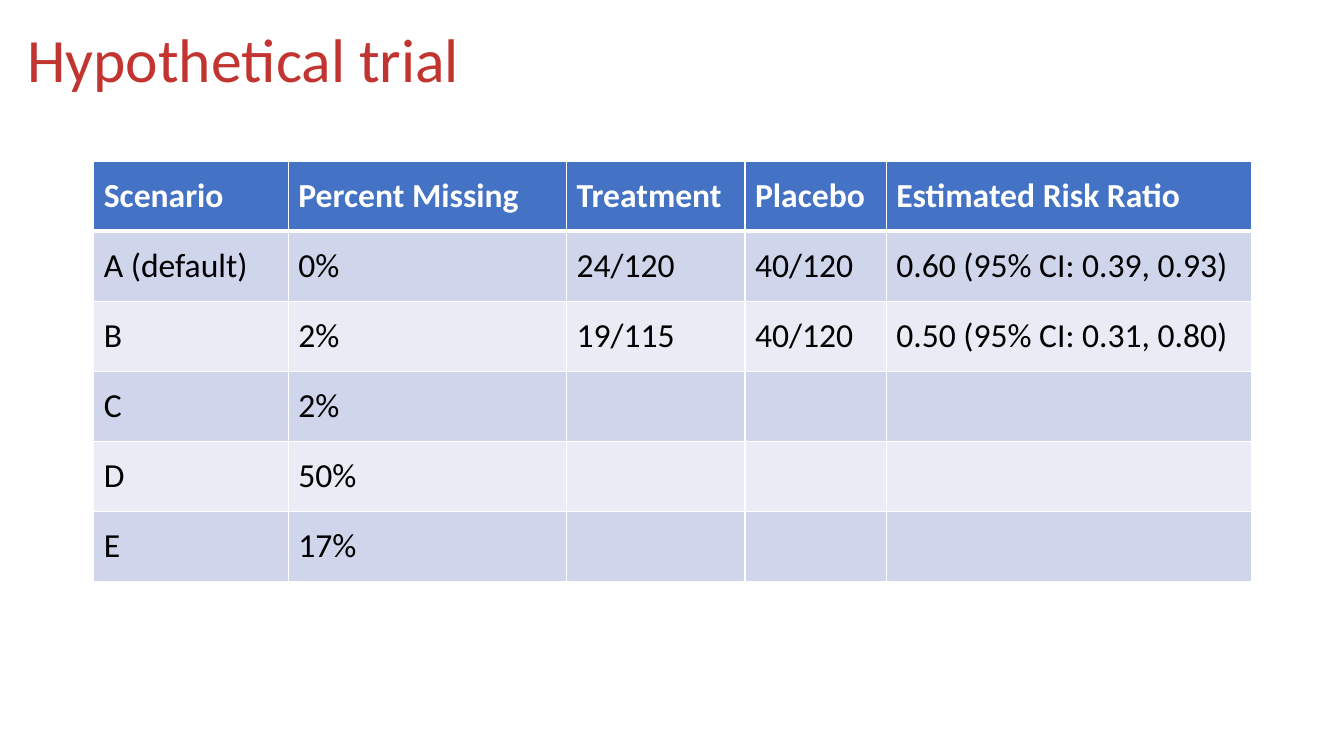
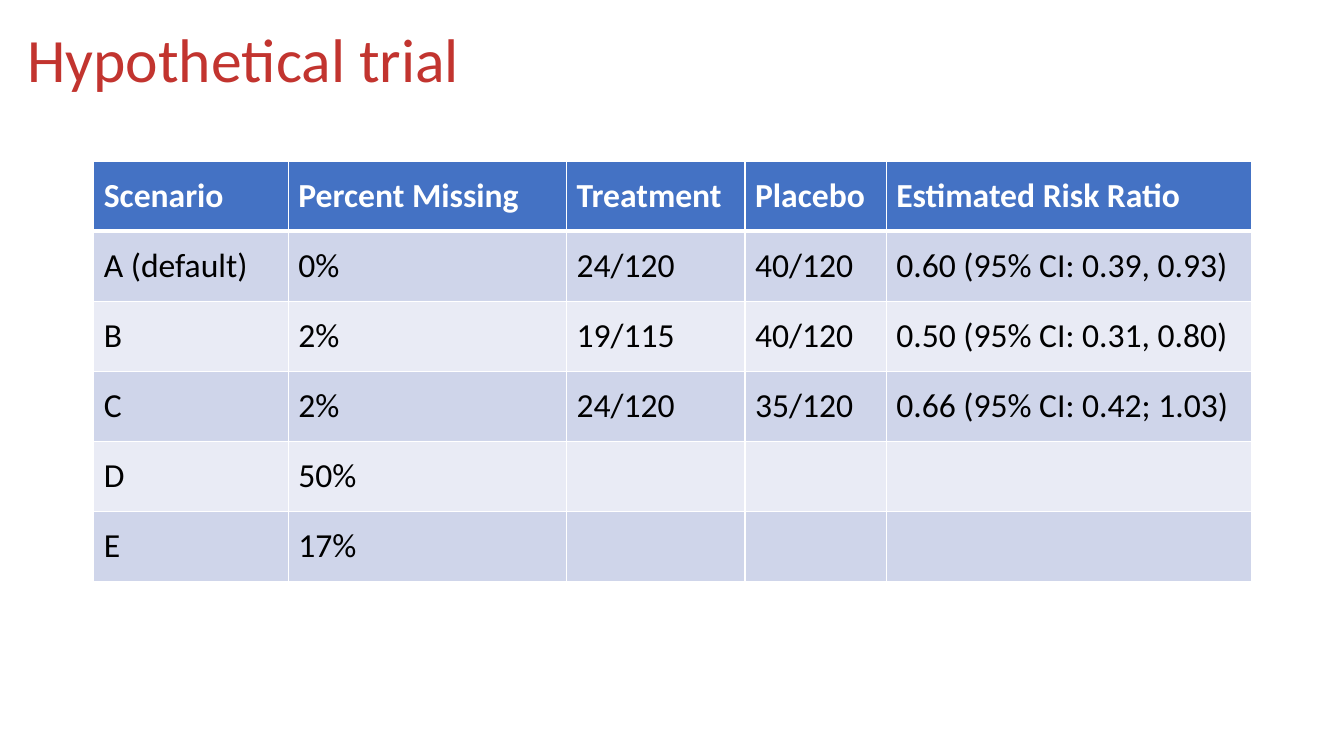
"""Build two slides that fill in the scenarios of a hypothetical trial."""
from lxml import etree
from pptx import Presentation
from pptx.dml.color import RGBColor
from pptx.enum.text import MSO_ANCHOR, MSO_AUTO_SIZE, PP_ALIGN
from pptx.oxml.ns import qn
from pptx.util import Inches, Pt

MIDDLE = MSO_ANCHOR.MIDDLE
NO_FIT = MSO_AUTO_SIZE.NONE
LEFT = PP_ALIGN.LEFT

RED = RGBColor(0xC2, 0x34, 0x2F)
BLUE = RGBColor(0x44, 0x72, 0xC4)
BAND_DARK = RGBColor(0xCF, 0xD5, 0xEA)
BAND_LIGHT = RGBColor(0xE9, 0xEB, 0xF5)
WHITE = RGBColor(0xFF, 0xFF, 0xFF)
BLACK = RGBColor(0x00, 0x00, 0x00)

FONT = "Calibri"
TITLE_FONT = {"name": FONT, "size": Pt(44), "bold": False}
HEADER_FONT = {"name": FONT, "size": Pt(24), "bold": True}
BODY_FONT = {"name": FONT, "size": Pt(24), "bold": False}
TITLE_BOX = {"left": Inches(0.17), "top": Inches(0.16),
             "width": Inches(13), "height": Inches(0.92)}
TITLE_FRAME = {"vertical_anchor": MIDDLE, "auto_size": NO_FIT, "word_wrap": True}

COL_WIDTHS = [1.93, 2.76, 1.77, 1.4, 3.62]
ROW_HEIGHT = 0.695
HEADER = ["Scenario", "Percent Missing", "Treatment", "Placebo", "Estimated Risk Ratio"]
SCENARIOS = [
    ["A (default)", "0%", "24/120", "40/120", "0.60 (95% CI: 0.39, 0.93)"],
    ["B", "2%", "19/115", "40/120", "0.50 (95% CI: 0.31, 0.80)"],
    ["C", "2%", "24/120", "35/120", "0.66 (95% CI: 0.42; 1.03)"],
    ["D", "50%"],
    ["E", "17%"],
]
RESULTS_SHOWN = [2, 3]


def add_text(p, text, font, color):
    r = p.add_run()
    r.text = text
    for name, value in font.items():
        setattr(r.font, name, value)
    r.font.color.rgb = color


def add_borders(cell, widths):
    tc_pr = cell._tc.get_or_add_tcPr()
    for side, width in widths.items():
        ln = etree.SubElement(tc_pr, qn(f"a:ln{side}"), w=str(Pt(width)))
        fill = etree.SubElement(ln, qn("a:solidFill"))
        etree.SubElement(fill, qn("a:srgbClr"), val=str(WHITE))


prs = Presentation()
prs.slide_width = Inches(13.33)
prs.slide_height = Inches(7.5)
title_only = prs.slide_layouts[5]

for shown in RESULTS_SHOWN:
    s = prs.slides.add_slide(title_only)
    title = s.shapes.title
    for name, value in TITLE_BOX.items():
        setattr(title, name, value)
    tf = title.text_frame
    for name, value in TITLE_FRAME.items():
        setattr(tf, name, value)
    p = tf.paragraphs[0]
    p.alignment = LEFT
    p.line_spacing = 0.9
    add_text(p, "Hypothetical trial", TITLE_FONT, RED)

    rows = [HEADER] + [row if i < shown else row[:2] for i, row in enumerate(SCENARIOS)]
    table = s.shapes.add_table(
        len(rows), len(HEADER), Inches(0.93), Inches(1.6),
        Inches(sum(COL_WIDTHS)), Inches(ROW_HEIGHT * len(rows))).table
    for column, width in zip(table.columns, COL_WIDTHS):
        column.width = Inches(width)

    for i, row in enumerate(rows):
        table.rows[i].height = Inches(ROW_HEIGHT)
        if i == 0:
            font, color, band = HEADER_FONT, WHITE, BLUE
        else:
            font, color = BODY_FONT, BLACK
            band = BAND_DARK if i % 2 else BAND_LIGHT
        borders = {"L": 1, "R": 1, "T": 3 if i == 1 else 1, "B": 3 if i == 0 else 1}
        for j in range(len(HEADER)):
            cell = table.cell(i, j)
            cell.vertical_anchor = MIDDLE
            add_borders(cell, borders)
            cell.fill.solid()
            cell.fill.fore_color.rgb = band
            if j < len(row):
                add_text(cell.text_frame.paragraphs[0], row[j], font, color)

prs.save("out.pptx")
